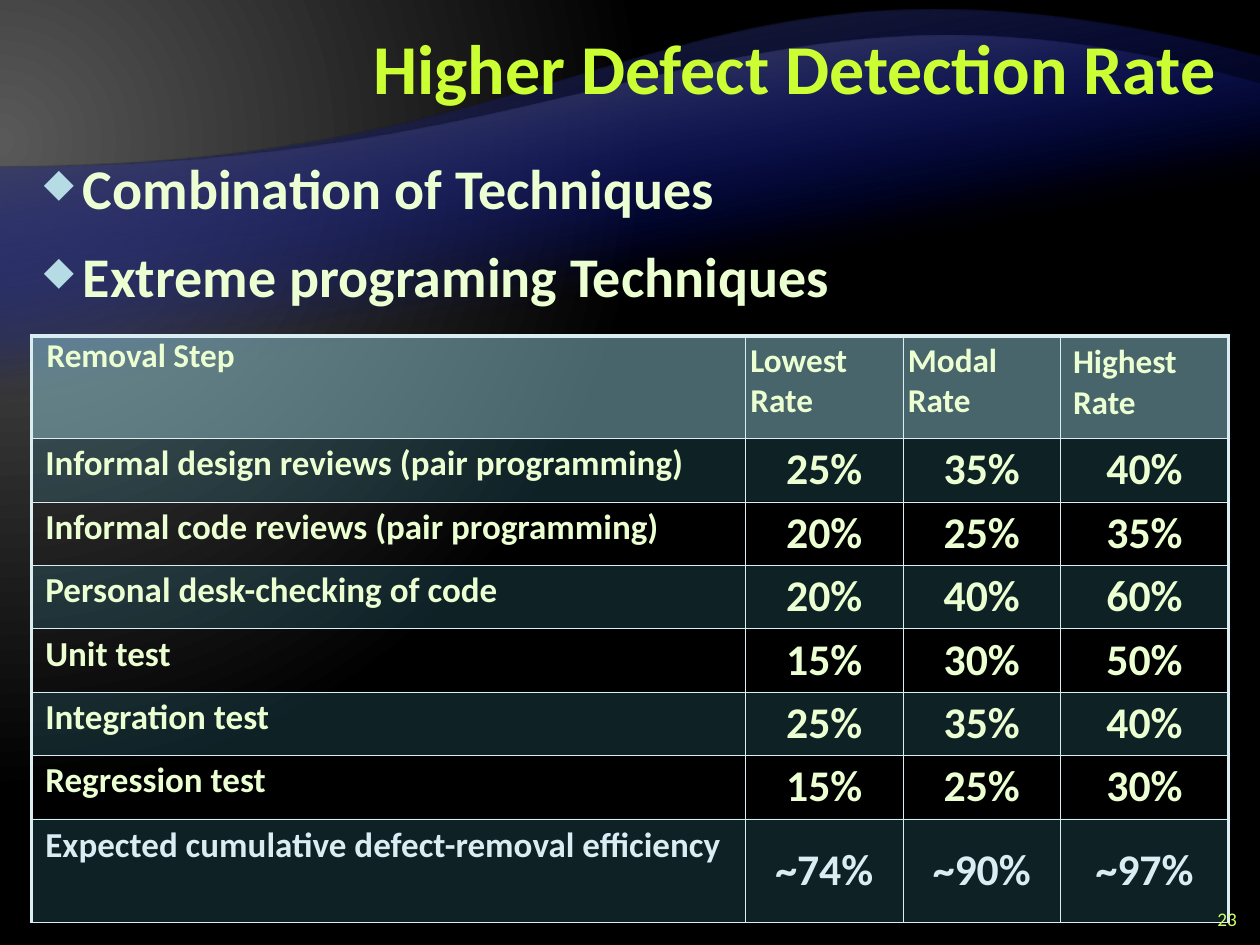
from lxml import etree
from pptx import Presentation
from pptx.dml.color import RGBColor
from pptx.enum.text import MSO_ANCHOR, MSO_AUTO_SIZE, PP_ALIGN
from pptx.oxml import parse_xml
from pptx.oxml.ns import nsdecls, qn
from pptx.util import Inches, Pt

MIDDLE, TOP = MSO_ANCHOR.MIDDLE, MSO_ANCHOR.TOP
LEFT, CENTER, RIGHT = PP_ALIGN.LEFT, PP_ALIGN.CENTER, PP_ALIGN.RIGHT
NO_FIT = MSO_AUTO_SIZE.NONE
UNIT = Inches(1) // 12
HUNDREDTH = Inches(1) // 100
FONT = "Calibri"
LIME, CREAM, ICE = "CCFF33", "EBFFD2", "DAEDF2"

BACKDROP = [(0, "595959", 100), (83, "000000", 100)]
RADIAL = '<a:path path="circle"><a:fillToRect l="20000" t="30000" r="135000" b="100000"/></a:path>'
SLOPED = '<a:lin ang="4800000" scaled="0"/>'
WAVES = [
    (45, 608, 520, [(500, 520), (466, 728)], "262626"),
    (67, 490, 424, [(500, 424), (402, 606)], "595959"),
]

BULLETS = ["Combination of Techniques", "Extreme programing Techniques"]
COLUMNS = [68, 15, 15, 16]
ROWS = [9.75] + [5.4] * 6 + [9.9]
HEADINGS = ["Removal Step", "Lowest Rate", "Modal Rate", "Highest Rate"]
HEADING_INSETS = [(0, 0), (0.04, 0.04), (0.04, 0.04), (0.1, 0.05)]
STEPS = [
    ("Informal design reviews (pair programming)", "25%", "35%", "40%"),
    ("Informal code reviews (pair programming)", "20%", "25%", "35%"),
    ("Personal desk-checking of code", "20%", "40%", "60%"),
    ("Unit test", "15%", "30%", "50%"),
    ("Integration test", "25%", "35%", "40%"),
    ("Regression test", "15%", "25%", "30%"),
    ("Expected cumulative defect-removal efficiency", "~74%", "~90%", "~97%"),
]


def color(value):
    """Turn a hex string into a colour."""
    return RGBColor.from_string(value)


def grid(*counts):
    """Turn grid counts into lengths."""
    return [round(count * UNIT) for count in counts]


def apply(target, values):
    """Set each named attribute on the target."""
    for name, value in values.items():
        setattr(target, name, value)


def write(para, text, size, ink, bold=True, **layout):
    """Write one formatted line of text into a paragraph."""
    apply(para, layout)
    span = para.add_run()
    span.text = text
    apply(span.font, {"name": FONT, "size": Pt(size), "bold": bold})
    span.font.color.rgb = color(ink)


def indent(para, margin, first):
    """Set the left margin and first line indent in inches."""
    properties = para._p.get_or_add_pPr()
    properties.set("marL", str(Inches(margin)))
    properties.set("indent", str(Inches(first)))
    return properties


def set_gradient(element, stops, direction):
    """Swap the first solid fill under an element for a gradient."""
    marks = "".join(
        f'<a:gs pos="{place * 1000}"><a:srgbClr val="{tint}">'
        f'<a:alpha val="{opacity * 1000}"/></a:srgbClr></a:gs>'
        for place, tint, opacity in stops)
    gradient = parse_xml(f'<a:gradFill {nsdecls("a")} rotWithShape="1">'
                         f'<a:gsLst>{marks}</a:gsLst>{direction}</a:gradFill>')
    solid = next(element.iter(qn("a:solidFill")))
    solid.getparent().replace(solid, gradient)


def add_wave(page, top, height, shoulder, controls, edge):
    """Draw a full-width band with one curved edge, turned upside down."""
    builder = page.shapes.build_freeform(0, 0, scale=HUNDREDTH)
    builder.add_line_segments([(1000, 0), (1000, shoulder), (0, height)])
    wave = builder.convert_to_shape(0, top * HUNDREDTH)
    curve = wave.element.findall(".//" + qn("a:lnTo"))[2]
    curve.tag = qn("a:cubicBezTo")
    for place, (x, y) in enumerate(controls):
        point = etree.Element(qn("a:pt"), x=str(x), y=str(y))
        curve.insert(place, point)
    wave.rotation = 180
    wave.shadow.inherit = False
    wave.line.fill.background()
    wave.fill.solid()
    wave.fill.fore_color.rgb = color(edge)
    set_gradient(wave.element, [(65, "000D9E", 0), (100, edge, 100)], SLOPED)


def add_backdrop(page):
    """Fill the page with a glow and lay the waves over it."""
    page.background.fill.solid()
    page.background.fill.fore_color.rgb = color("000000")
    set_gradient(page.element, BACKDROP, RADIAL)
    for wave in WAVES:
        add_wave(page, *wave)


def place_title(page, box, text):
    """Bring the title forward, then place and format it."""
    title = page.shapes.title
    title.element.getparent().append(title.element)
    apply(title, dict(zip(("left", "top", "width", "height"), grid(*box))))
    apply(title.text_frame, {"vertical_anchor": MIDDLE, "word_wrap": True, "auto_size": NO_FIT})
    write(title.text_frame.paragraphs[0], text, 40, LIME, alignment=RIGHT, line_spacing=Pt(40))


def add_bullets(page, box, lines):
    """Add a list with diamond bullets."""
    frame = page.shapes.add_textbox(*grid(*box)).text_frame
    frame.word_wrap = True
    for place, line in enumerate(lines):
        para = frame.add_paragraph() if place else frame.paragraphs[0]
        properties = indent(para, 0.31, -0.31)
        for mark in ('<a:buClr {}><a:srgbClr val="B5DBE5"/></a:buClr>',
                     '<a:buSzPct {} val="70000"/>', '<a:buChar {} char="◆"/>'):
            properties.append(parse_xml(mark.format(nsdecls("a"))))
        write(para, line, 32, CREAM, space_before=Pt(6 if place else 0), space_after=Pt(6))


def add_page_number(page, box, number):
    """Add the page number."""
    frame = page.shapes.add_textbox(*grid(*box)).text_frame
    apply(frame, {"word_wrap": True, "vertical_anchor": MIDDLE})
    write(frame.paragraphs[0], number, 11, "CCFF66", bold=False, alignment=RIGHT)


def style_cell(cell, tint, opacity, edges, insets, anchor):
    """Set the fill, borders, insets and anchor of a cell."""
    across, down = map(Inches, insets)
    apply(cell, {"margin_left": across, "margin_right": across, "margin_top": down,
                 "margin_bottom": down, "vertical_anchor": anchor})
    properties = cell._tc.get_or_add_tcPr()
    if tint:
        cell.fill.solid()
        cell.fill.fore_color.rgb = color(tint)
        paint = next(properties.iter(qn("a:srgbClr")))
        etree.SubElement(paint, qn("a:alpha"), val=str(opacity * 1000))
    else:
        cell.fill.background()
    for place, (side, width) in enumerate(edges.items()):
        properties.insert(place, parse_xml(
            f'<a:ln{side} {nsdecls("a")} w="{Pt(width)}"><a:solidFill>'
            f'<a:srgbClr val="{ICE}"/></a:solidFill></a:ln{side}>'))


def fill_cell(cell, row, column, text):
    """Write and style one cell by its place in the table."""
    heading, total, label = row == 0, row == len(STEPS), column == 0
    edges = {"L": 2.25 if label else 0.5, "R": 2.25 if column == len(COLUMNS) - 1 else 0.5,
             "T": 2.25 if heading else 0.25, "B": 0.25}
    tint, opacity = ("90CAD7", 50) if heading else ("46A6BD" if row % 2 else None, 20)
    insets = HEADING_INSETS[column] if heading else (0.04, 0.04)
    style_cell(cell, tint, opacity, edges, insets, TOP if heading or label else MIDDLE)
    para = cell.text_frame.paragraphs[0]
    layout = {"alignment": LEFT if heading or label else CENTER}
    if label:
        indent(para, *((0, 0.12) if heading else (0.07, 0) if total else (0, 0.07)))
        if not heading and not total:
            layout["line_spacing"] = 0.95
    size = 19 if heading else 20 if label else 25
    write(para, text, size, ICE if total else CREAM, **layout)


def add_rate_table(page, box):
    """Add the table of removal rates."""
    table = page.shapes.add_table(len(ROWS), len(COLUMNS), *grid(*box)).table
    apply(table, {"first_row": False, "horz_banding": False})
    for column, width in zip(table.columns, grid(*COLUMNS)):
        column.width = width
    for row, height in zip(table.rows, grid(*ROWS)):
        row.height = height
    for row, texts in enumerate([HEADINGS, *STEPS]):
        for column, text in enumerate(texts):
            fill_cell(table.cell(row, column), row, column, text)


def main():
    """Build the deck and save it."""
    deck = Presentation()
    deck.slide_width, deck.slide_height = grid(120, 90)
    page = deck.slides.add_slide(deck.slide_layouts[5])
    add_backdrop(page)
    place_title(page, (24, 1, 93, 12), "Higher Defect Detection Rate")
    add_rate_table(page, (3, 32, 114, 52))
    add_page_number(page, (113, 86, 6, 3), "23")
    add_bullets(page, (3, 14, 114, 17), BULLETS)
    deck.save("out.pptx")


if __name__ == "__main__":
    main()
